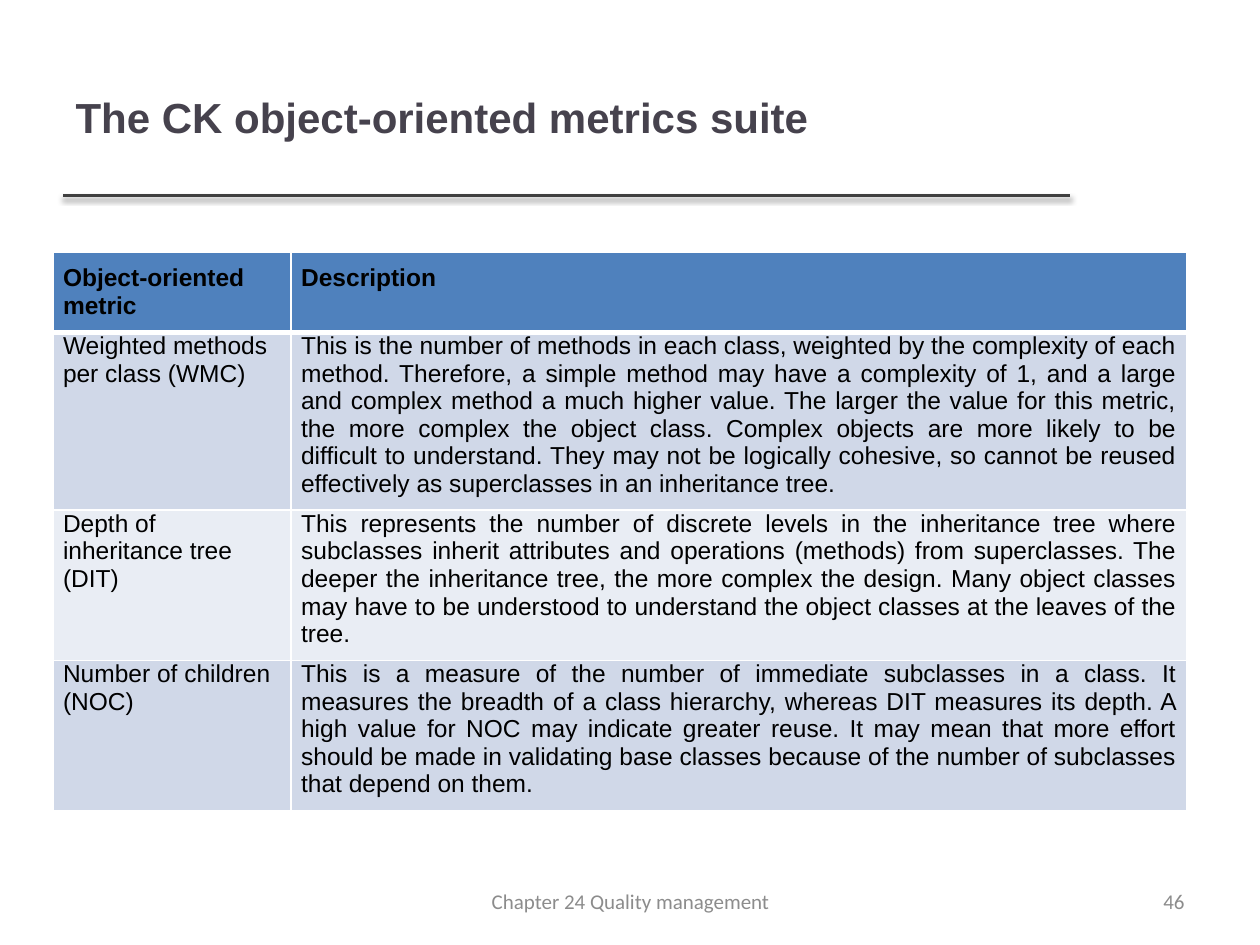
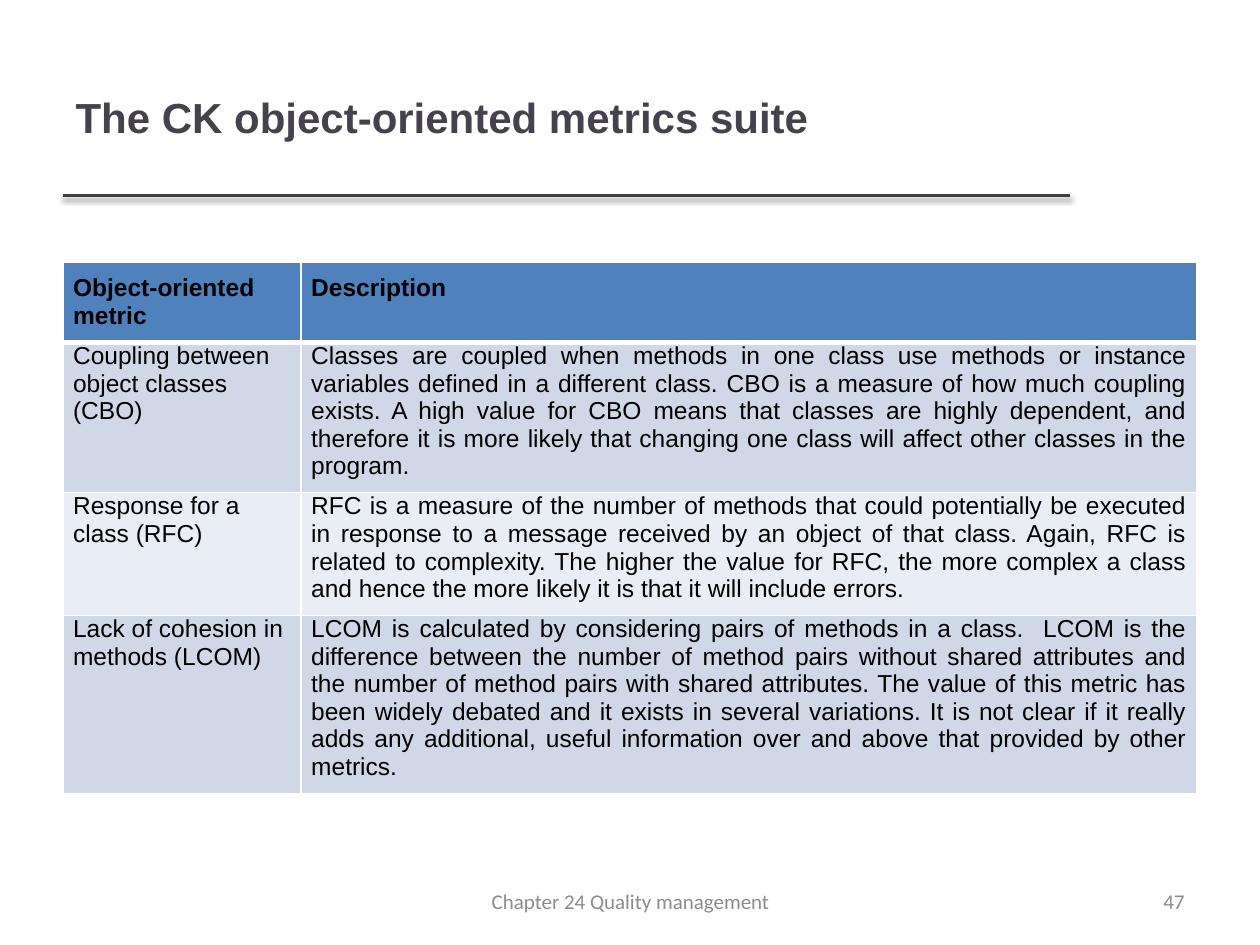
from dataclasses import dataclass

from lxml.etree import SubElement
from pptx import Presentation
from pptx.dml.color import RGBColor
from pptx.enum.shapes import MSO_CONNECTOR
from pptx.enum.text import MSO_ANCHOR, PP_ALIGN
from pptx.oxml import parse_xml
from pptx.oxml.ns import nsdecls, qn
from pptx.util import Inches, Pt

TITLE = "The CK object-oriented metrics suite"
FOOTER = "Chapter 24 Quality management"
HEADER = ("Object-oriented metric", "Description")
HEADER_LINES = 2

# Each row: metric, description, number of text lines it fills.
PAGES = [
    {
        "number": 46,
        "table_at": (0.42, 2.0),
        "rows": [
            ("Weighted methods per class (WMC)",
             "This is the number of methods in each class, weighted by the complexity of each "
             "method. Therefore, a simple method may have a complexity of 1, and a large and "
             "complex method a much higher value. The larger the value for this metric, the more "
             "complex the object class. Complex objects are more likely to be difficult to "
             "understand. They may not be logically cohesive, so cannot be reused effectively as "
             "superclasses in an inheritance tree.", 6),
            ("Depth of inheritance tree (DIT)",
             "This represents the number of discrete levels in the inheritance tree where "
             "subclasses inherit attributes and operations (methods) from superclasses. The "
             "deeper the inheritance tree, the more complex the design. Many object classes may "
             "have to be understood to understand the object classes at the leaves of the "
             "tree.", 5),
            ("Number of children (NOC)",
             "This is a measure of the number of immediate subclasses in a class. It measures "
             "the breadth of a class hierarchy, whereas DIT measures its depth. A high value for "
             "NOC may indicate greater reuse. It may mean that more effort should be made in "
             "validating base classes because of the number of subclasses that depend on "
             "them.", 5),
        ],
    },
    {
        "number": 47,
        "table_at": (0.5, 2.08),
        "rows": [
            ("Coupling between object classes (CBO)",
             "Classes are coupled when methods in one class use methods or instance variables "
             "defined in a different class. CBO is a measure of how much coupling exists. A high "
             "value for CBO means that classes are highly dependent, and therefore it is more "
             "likely that changing one class will affect other classes in the program.", 5),
            ("Response for a class (RFC)",
             "RFC is a measure of the number of methods that could potentially be executed in "
             "response to a message received by an object of that class. Again, RFC is related "
             "to complexity. The higher the value for RFC, the more complex a class and hence "
             "the more likely it is that it will include errors.", 4),
            ("Lack of cohesion in methods (LCOM)",
             "LCOM is calculated by considering pairs of methods in a class.  LCOM is the "
             "difference between the number of method pairs without shared attributes and the "
             "number of method pairs with shared attributes. The value of this metric has been "
             "widely debated and it exists in several variations. It is not clear if it really "
             "adds any additional, useful information over and above that provided by other "
             "metrics.", 6),
        ],
    },
]

COLUMN_WIDTHS = (1.89, 7.11)
LINE_HEIGHT = 0.21
SIDE_INSET = 0.08
END_INSET = 0.1


@dataclass(frozen=True)
class Theme:
    """Colours, fonts and type sizes shared by all pages."""
    title: str = "46424D"
    rule: str = "404040"
    text: str = "000000"
    footer: str = "8C8C8C"
    header_fill: str = "4F81BD"
    bands: tuple = ("D0D8E8", "E9EDF4")
    border: str = "FFFFFF"
    body_font: str = "Arial"
    footer_font: str = "Calibri"
    title_size: int = 24
    table_size: int = 14
    footer_size: int = 12


THEME = Theme()


def write(frame, words, font, size, color, bold=False, align=PP_ALIGN.LEFT):
    """Put one formatted paragraph in a text frame."""
    frame.text = words
    frame.word_wrap = True
    para = frame.paragraphs[0]
    para.alignment = align
    span = para.runs[0]
    span.font.name = font
    span.font.size = Pt(size)
    span.font.bold = bold
    span.font.color.rgb = RGBColor.from_string(color)


def add_title(page):
    """Fill and place the title, with the shadowed rule below it."""
    title = page.shapes.title
    title.left, title.top = Inches(0.5), Inches(0.3)
    title.width, title.height = Inches(7.98), Inches(1.25)
    write(title.text_frame, TITLE, THEME.body_font, THEME.title_size, THEME.title, bold=True)
    title.text_frame.vertical_anchor = MSO_ANCHOR.MIDDLE

    rule = page.shapes.add_connector(
        MSO_CONNECTOR.STRAIGHT, Inches(0.5), Inches(1.55), Inches(8.49), Inches(1.55))
    rule.line.color.rgb = RGBColor.from_string(THEME.rule)
    rule.line.width = Pt(2)
    rule._element.spPr.append(parse_xml(
        f'<a:effectLst {nsdecls("a")}>'
        '<a:outerShdw blurRad="40000" dist="20000" dir="5400000" rotWithShape="0">'
        '<a:srgbClr val="000000"><a:alpha val="38000"/></a:srgbClr>'
        '</a:outerShdw></a:effectLst>'))


def add_footer_text(page, words, left, width, align):
    """Add one text box on the footer line."""
    box = page.shapes.add_textbox(Inches(left), Inches(6.95), Inches(width), Inches(0.4))
    write(box.text_frame, words, THEME.footer_font, THEME.footer_size, THEME.footer, align=align)
    box.text_frame.vertical_anchor = MSO_ANCHOR.MIDDLE


def set_borders(cell, bottom):
    """Draw all four cell borders; only the bottom width varies."""
    properties = cell._tc.get_or_add_tcPr()
    for side, width in (("L", 1), ("R", 1), ("T", 1), ("B", bottom)):
        line = SubElement(properties, qn(f"a:ln{side}"), w=str(Pt(width)))
        fill = SubElement(line, qn("a:solidFill"))
        SubElement(fill, qn("a:srgbClr"), val=THEME.border)


def format_cell(cell, words, fill, is_header, align):
    """Write a table cell and set its insets, borders and fill."""
    write(cell.text_frame, words, THEME.body_font, THEME.table_size, THEME.text,
          bold=is_header, align=align)
    cell.margin_left = cell.margin_right = Inches(SIDE_INSET)
    cell.margin_top = Inches(END_INSET if is_header else 0)
    cell.margin_bottom = Inches(END_INSET)
    set_borders(cell, bottom=3 if is_header else 1)
    cell.fill.solid()
    cell.fill.fore_color.rgb = RGBColor.from_string(fill)


def add_metric_table(page, position, metrics):
    """Add the metric table, its row heights following the line counts."""
    rows = [(*HEADER, HEADER_LINES), *metrics]
    heights = [lines * LINE_HEIGHT + END_INSET * (2 if index == 0 else 1)
               for index, (_, _, lines) in enumerate(rows)]
    left, top = position
    table = page.shapes.add_table(
        len(rows), len(COLUMN_WIDTHS), Inches(left), Inches(top),
        Inches(sum(COLUMN_WIDTHS)), Inches(sum(heights))).table
    for column, width in zip(table.columns, COLUMN_WIDTHS):
        column.width = Inches(width)
    for index, (metric, description, _) in enumerate(rows):
        table.rows[index].height = Inches(heights[index])
        is_header = index == 0
        fill = THEME.header_fill if is_header else THEME.bands[(index - 1) % 2]
        metric_align = PP_ALIGN.JUSTIFY if is_header else PP_ALIGN.LEFT
        format_cell(table.cell(index, 0), metric, fill, is_header, metric_align)
        format_cell(table.cell(index, 1), description, fill, is_header, PP_ALIGN.JUSTIFY)


def build():
    """Build and save the deck."""
    deck = Presentation()
    deck.slide_width, deck.slide_height = Inches(10), Inches(7.5)
    title_only = deck.slide_layouts.get_by_name("Title Only")
    for content in PAGES:
        page = deck.slides.add_slide(title_only)
        add_title(page)
        add_metric_table(page, content["table_at"], content["rows"])
        add_footer_text(page, str(content["number"]), 7.17, 2.33, PP_ALIGN.RIGHT)
        add_footer_text(page, FOOTER, 3.42, 3.17, PP_ALIGN.CENTER)
    deck.save("out.pptx")


build()
